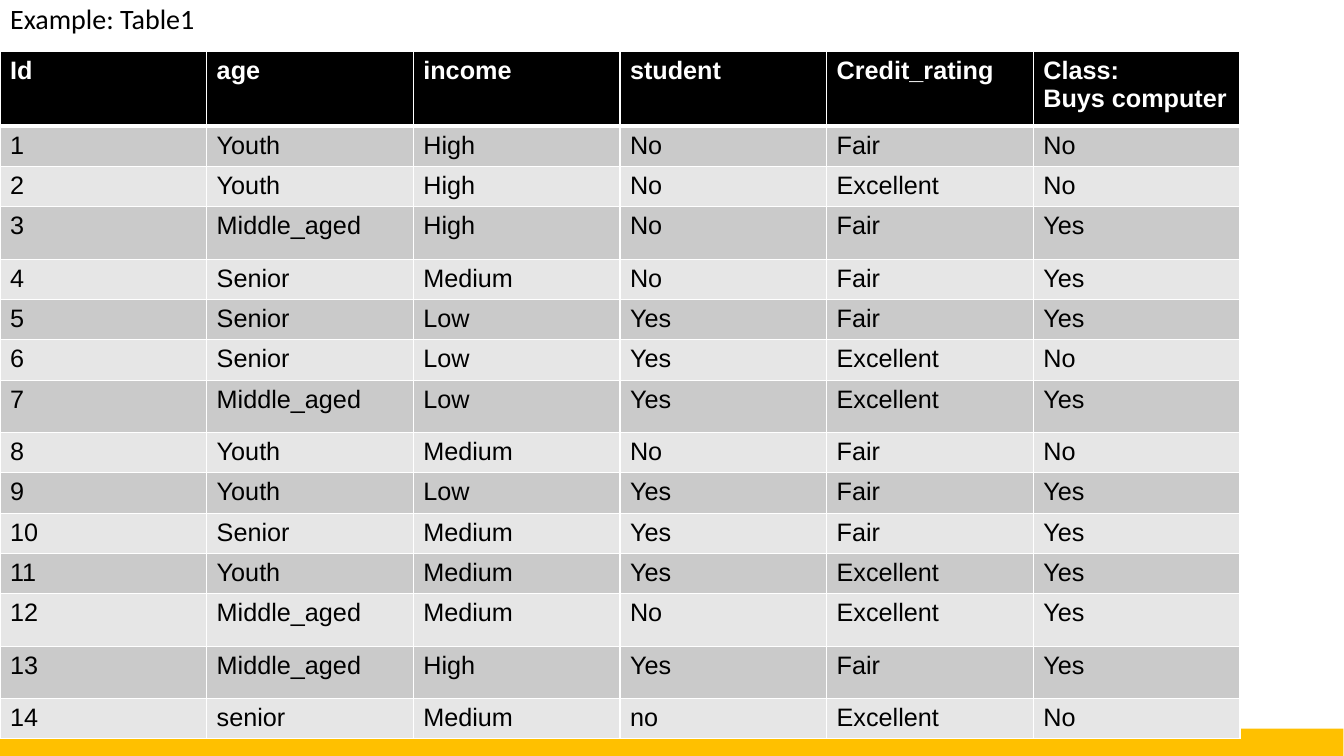
from pptx import Presentation
from pptx.dml.color import RGBColor
from pptx.enum.shapes import MSO_SHAPE
from pptx.enum.text import MSO_ANCHOR, MSO_AUTO_SIZE, PP_ALIGN
from pptx.util import Inches, Pt
from lxml.etree import SubElement
from pptx.oxml.ns import qn

BLACK = RGBColor(0x00, 0x00, 0x00)
WHITE = RGBColor(0xFF, 0xFF, 0xFF)
GOLD = RGBColor(0xFF, 0xC0, 0x00)
DARK = RGBColor(0xCA, 0xCA, 0xCA)
LIGHT = RGBColor(0xE6, 0xE6, 0xE6)

HEADS = ["Id", "age", "income", "student", "Credit_rating", "Class:\nBuys computer"]
PEOPLE = [
    ("Youth", "High", "No", "Fair", "No"),
    ("Youth", "High", "No", "Excellent", "No"),
    ("Middle_aged", "High", "No", "Fair", "Yes"),
    ("Senior", "Medium", "No", "Fair", "Yes"),
    ("Senior", "Low", "Yes", "Fair", "Yes"),
    ("Senior", "Low", "Yes", "Excellent", "No"),
    ("Middle_aged", "Low", "Yes", "Excellent", "Yes"),
    ("Youth", "Medium", "No", "Fair", "No"),
    ("Youth", "Low", "Yes", "Fair", "Yes"),
    ("Senior", "Medium", "Yes", "Fair", "Yes"),
    ("Youth", "Medium", "Yes", "Excellent", "Yes"),
    ("Middle_aged", "Medium", "No", "Excellent", "Yes"),
    ("Middle_aged", "High", "Yes", "Fair", "Yes"),
    ("senior", "Medium", "no", "Excellent", "No"),
]


class Page:
    col = Inches(2.05)
    row = Inches(0.4)

    def __init__(self, deck):
        self.slide = deck.slides.add_slide(deck.slide_layouts[5])

    def box(self, left, top, width, height):
        return (int(left * self.col), int(top * self.row),
                int(width * self.col), int(height * self.row))

    def style(self, para, face, size, color, bold=False):
        font = para.font
        font.name, font.size, font.bold = face, Pt(size), bold
        font.color.rgb = color

    def title(self, text, *place):
        head = self.slide.shapes.title
        head.left, head.top, head.width, head.height = self.box(*place)
        frame = head.text_frame
        frame.text = text
        frame.word_wrap = True
        frame.auto_size = MSO_AUTO_SIZE.NONE
        frame.vertical_anchor = MSO_ANCHOR.TOP
        para = frame.paragraphs[0]
        para.alignment = PP_ALIGN.JUSTIFY
        self.style(para, "Calibri", 20, BLACK)

    def bar(self, color, *place):
        bar = self.slide.shapes.add_shape(MSO_SHAPE.RECTANGLE, *self.box(*place))
        bar.shadow.inherit = False
        bar.fill.solid()
        bar.fill.fore_color.rgb = color
        bar.line.fill.background()

    def edge(self, cell, side, width):
        line = SubElement(cell._tc.get_or_add_tcPr(), qn("a:ln" + side), w=str(Pt(width)))
        fill = SubElement(line, qn("a:solidFill"))
        SubElement(fill, qn("a:srgbClr"), val=str(WHITE))

    def cell(self, cell, text, fill, color, sides, bold):
        cell.text = text
        for side, width in sides.items():
            self.edge(cell, side, width)
        cell.fill.solid()
        cell.fill.fore_color.rgb = fill
        for para in cell.text_frame.paragraphs:
            self.style(para, "Arial", 18, color, bold)

    def table(self, data, sizes, left, top):
        place = self.box(left, top, len(data[0]), sum(sizes))
        grid = self.slide.shapes.add_table(len(data), len(data[0]), *place).table
        for col in grid.columns:
            col.width = self.col
        for i, (line, size) in enumerate(zip(data, sizes)):
            grid.rows[i].height = int(size * self.row)
            head = i == 0
            fill = BLACK if head else DARK if i % 2 else LIGHT
            color = WHITE if head else BLACK
            sides = {"L": 1, "R": 1, "T": 3 if i == 1 else 1, "B": 3 if head else 1}
            for j, text in enumerate(line):
                self.cell(grid.cell(i, j), text, fill, color, sides, head)


def main():
    deck = Presentation()
    deck.slide_width, deck.slide_height = Inches(13.33), Inches(7.5)
    page = Page(deck)
    page.bar(GOLD, -0.01, 18.07, 6.51, 0.68)
    page.title("Example: Table1", 0, -0.08, 6.5, 18.02)
    data = [HEADS] + [(str(n), *who) for n, who in enumerate(PEOPLE, 1)]
    sizes = [1.85] + [1.3 if who[0] == "Middle_aged" else 1 for who in PEOPLE]
    page.table(data, sizes, 0, 1.28)
    deck.save("out.pptx")


if __name__ == "__main__":
    main()
